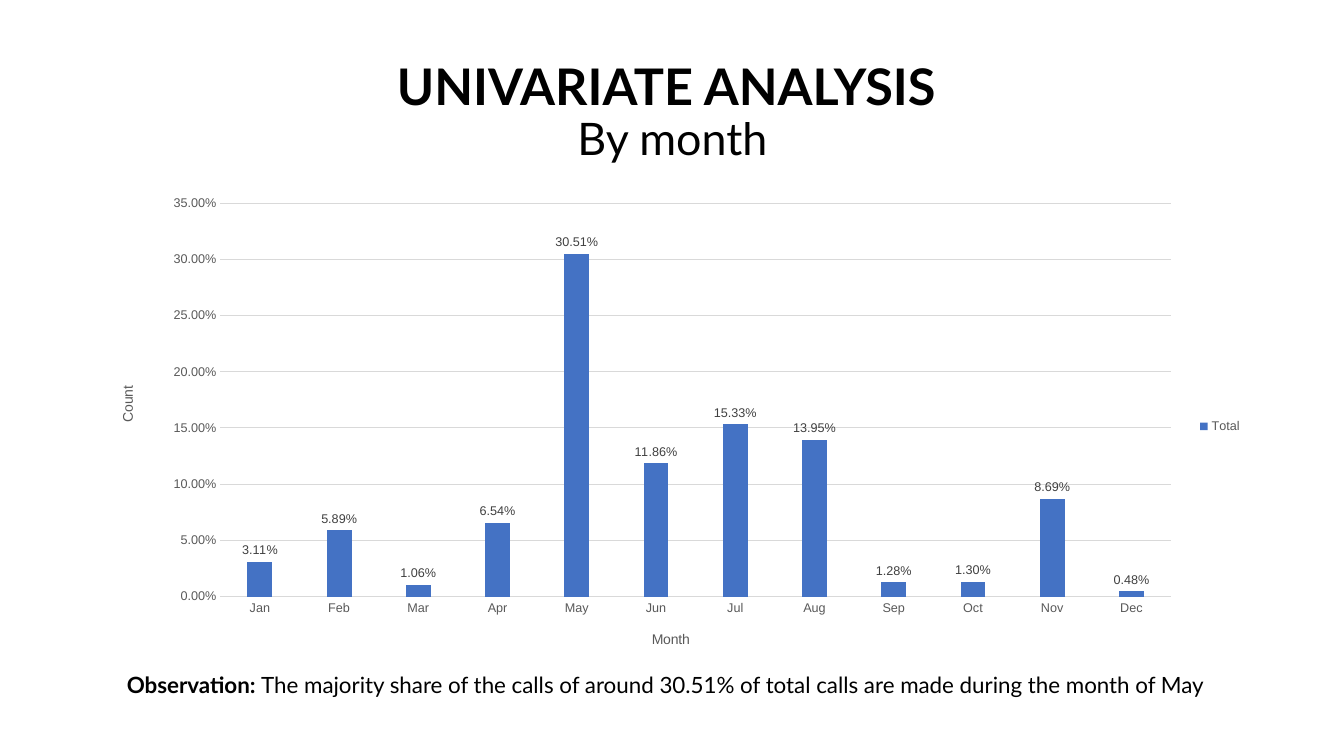
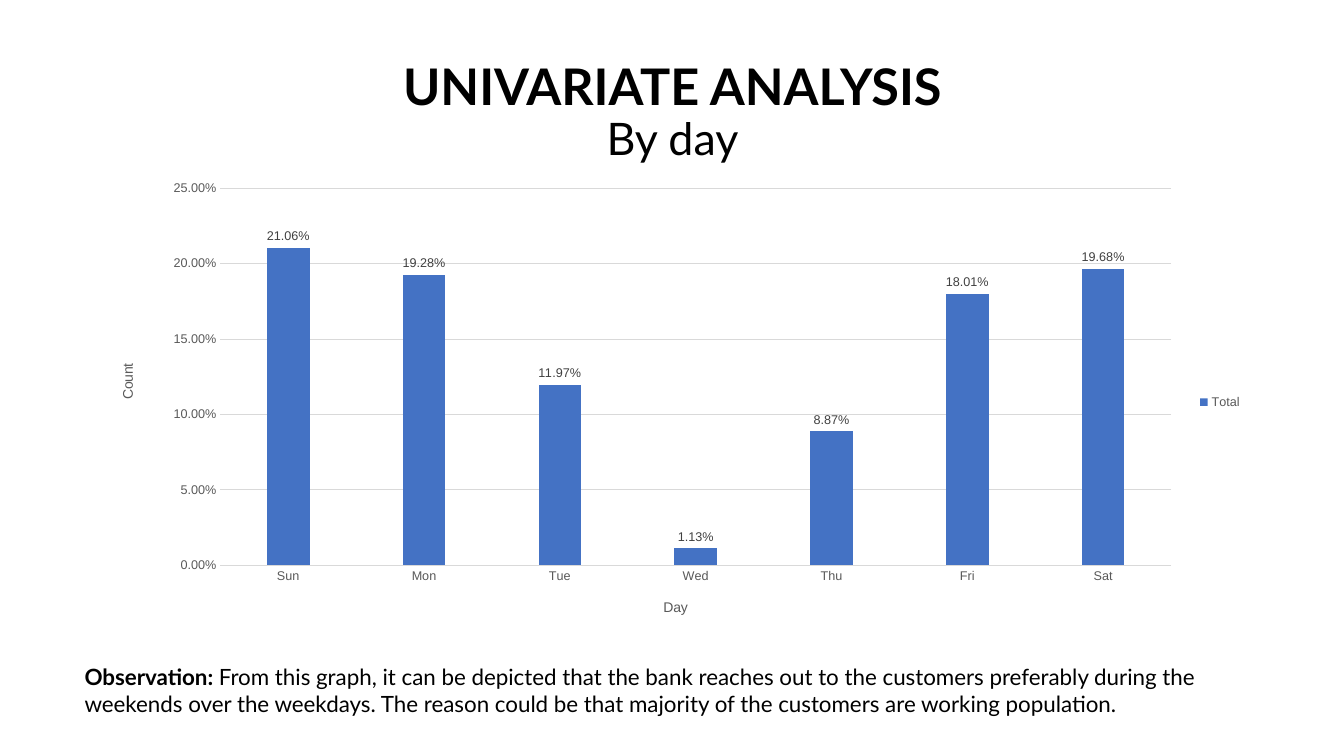
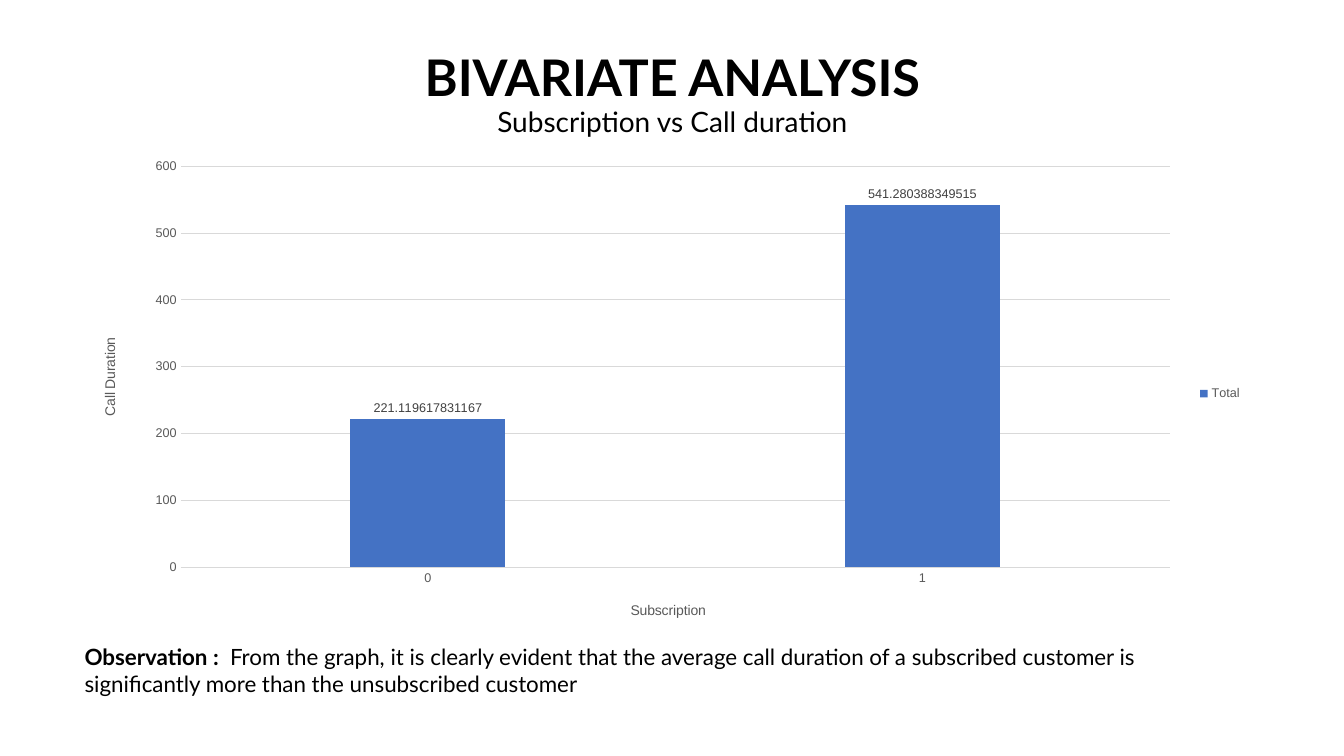
from dataclasses import dataclass

from lxml import etree
from pptx import Presentation
from pptx.chart.data import CategoryChartData
from pptx.dml.color import RGBColor
from pptx.enum.chart import (XL_CHART_TYPE, XL_LABEL_POSITION,
                             XL_LEGEND_POSITION, XL_TICK_MARK)
from pptx.enum.text import MSO_ANCHOR, PP_ALIGN
from pptx.oxml.ns import qn
from pptx.util import Inches, Pt

COLUMN = XL_CHART_TYPE.COLUMN_CLUSTERED
OUTSIDE = XL_LABEL_POSITION.OUTSIDE_END
RIGHT = XL_LEGEND_POSITION.RIGHT
NO_TICK = XL_TICK_MARK.NONE
MIDDLE = MSO_ANCHOR.MIDDLE
CENTER, LEFT = PP_ALIGN.CENTER, PP_ALIGN.LEFT


@dataclass(frozen=True)
class Theme:
    ink: str = "000000"
    gray: str = "595959"
    label: str = "404040"
    rule: str = "D9D9D9"
    bar: str = "4472C4"
    head: str = "Lato"
    body: str = "Arial"
    title: int = 36
    note: int = 16
    axis: int = 10
    tick: int = 9


THEME = Theme()
WIDE, HIGH = 13.33, 7.5
EDGE, SPAN = 0.92, 11.5      # title and chart column
NOTE_X, NOTE_W = 0.74, 11.68  # observation column

SLIDES = [
    dict(title="UNIVARIATE ANALYSIS ", sub="By month", sub_size=32,
         title_h=1.45, chart=(EDGE, 1.85, SPAN, 4.76),
         note=(1.16, 6.61, NOTE_W, 0.37), lead="Observation: ",
         text="The majority share of the calls of around 30.51% of total "
              "calls are made during the month of May",
         cats="Jan Feb Mar Apr May Jun Jul Aug Sep Oct Nov Dec".split(),
         vals=[0.0311, 0.0589, 0.0106, 0.0654, 0.3051, 0.1186,
               0.1533, 0.1395, 0.0128, 0.013, 0.0869, 0.0048],
         top=0.35, step=0.05, form="0.00%", plot=(0.11, 0.82),
         x_name="Month", x_at=0.48, y_name="Count", y_at=0.41),
    dict(title="UNIVARIATE ANALYSIS", sub="By day", sub_size=32,
         title_h=1.45, chart=(EDGE, 1.71, SPAN, 4.56),
         note=(NOTE_X, 6.53, NOTE_W, 0.64), lead="Observation: ",
         text="From this graph, it can be depicted that the bank reaches "
              "out to the customers preferably during the weekends over the "
              "weekdays. The reason could be that majority of the customers "
              "are working population.",
         cats="Sun Mon Tue Wed Thu Fri Sat".split(),
         vals=[0.2106, 0.1928, 0.1197, 0.0113, 0.0887, 0.1801, 0.1968],
         top=0.25, step=0.05, form="0.00%", plot=(0.11, 0.82),
         x_name="Day", x_at=0.49, y_name="Count", y_at=0.41),
    dict(title="BIVARIATE ANALYSIS", sub="Subscription vs Call duration",
         sub_size=20, title_h=1.1, chart=(NOTE_X, 1.48, NOTE_W, 4.85),
         note=(NOTE_X, 6.33, NOTE_W, 0.64), lead="Observation : ",
         text=" From the graph, it is clearly evident that the average call "
              "duration of a subscribed customer is significantly more than "
              "the unsubscribed customer",
         cats=["0", "1"], vals=[221.119617831167, 541.280388349515],
         top=600, step=100, form="General", plot=(0.09, 0.84),
         x_name="Subscription", x_at=0.47, y_name="Call Duration", y_at=0.38),
]


def style(font, face, size, color, bold=False):
    for key, val in dict(name=face, size=Pt(size), bold=bold).items():
        setattr(font, key, val)
    font.color.rgb = RGBColor.from_string(color)


def add_text(slide, box, runs, align=LEFT, anchor=None):
    """Place one paragraph of (text, size, bold) runs; None breaks the line."""
    frame = slide.shapes.add_textbox(*map(Inches, box)).text_frame
    frame.word_wrap = True
    if anchor is not None:
        frame.vertical_anchor = anchor
    para = frame.paragraphs[0]
    para.alignment = align
    for part in runs:
        if part is None:
            para.add_line_break()
            continue
        text, size, bold = part
        run = para.add_run()
        run.text = text
        style(run.font, THEME.head, size, THEME.ink, bold)
    return para


def set_layout(node, index, **share):
    """Fix a chart part at shares of the chart's size."""
    old = node.find(qn("c:layout"))
    if old is not None:
        node.remove(old)
    layout = etree.Element(qn("c:layout"))
    manual = etree.SubElement(layout, qn("c:manualLayout"))
    rules = dict(xMode="edge", yMode="edge", **share)
    if "w" in share:
        rules = dict(layoutTarget="inner", **rules)
    for key, val in rules.items():
        etree.SubElement(manual, qn("c:" + key)).set("val", str(val))
    node.insert(index, layout)


def name_axis(axis, text, x, y, turn=0):
    title = axis.axis_title
    frame = title.text_frame
    frame.text = text
    style(frame.paragraphs[0].runs[0].font, THEME.body, THEME.axis, THEME.gray)
    frame._txBody.bodyPr.set("rot", str(turn * 60000))
    set_layout(title._element, 1, x=x, y=y)


def add_bars(slide, spec):
    data = CategoryChartData(number_format=spec["form"])
    data.categories = spec["cats"]
    data.add_series("Total", spec["vals"])
    chart = slide.shapes.add_chart(
        COLUMN, *map(Inches, spec["chart"]), data).chart
    chart.has_title = False
    style(chart.font, THEME.body, THEME.axis, THEME.ink)

    # Legend
    chart.has_legend = True
    chart.legend.position = RIGHT
    chart.legend.include_in_layout = False
    style(chart.legend.font, THEME.body, THEME.tick, THEME.gray)

    # Axes
    cat, val = chart.category_axis, chart.value_axis
    for axis in (cat, val):
        axis.major_tick_mark = axis.minor_tick_mark = NO_TICK
        style(axis.tick_labels.font, THEME.body, THEME.tick, THEME.gray)
    for line in (cat.format.line, val.major_gridlines.format.line):
        line.color.rgb = RGBColor.from_string(THEME.rule)
        line.width = Pt(0.75)
    val.format.line.fill.background()
    scale = dict(minimum_scale=0, maximum_scale=spec["top"],
                 major_unit=spec["step"])
    for key, num in scale.items():
        setattr(val, key, num)
    name_axis(cat, spec["x_name"], spec["x_at"], 0.92)
    name_axis(val, spec["y_name"], 0.02, spec["y_at"], -90)

    # Bars and labels
    plot = chart.plots[0]
    plot.gap_width, plot.overlap, plot.vary_by_categories = 219, -27, False
    bars = plot.series[0]
    bars.format.fill.solid()
    bars.format.fill.fore_color.rgb = RGBColor.from_string(THEME.bar)
    tags = bars.data_labels
    tags.show_value, tags.position = True, OUTSIDE
    style(tags.font, THEME.body, THEME.tick, THEME.label)
    for part in (tags, val.tick_labels):
        part.number_format = spec["form"]
        part.number_format_is_linked = False
    left, wide = spec["plot"]
    area = chart._chartSpace.find(".//" + qn("c:plotArea"))
    set_layout(area, 0, x=left, y=0.035, w=wide, h=0.82)


def add_page(deck, spec):
    slide = deck.slides.add_slide(deck.slide_layouts[6])
    head = add_text(slide, (EDGE, 0.4, SPAN, spec["title_h"]),
                    [(spec["title"], THEME.title, True), None,
                     (spec["sub"], spec["sub_size"], False)], CENTER, MIDDLE)
    head.line_spacing = 0.9
    add_text(slide, spec["note"], [(spec["lead"], THEME.note, True),
                                   (spec["text"], THEME.note, False)])
    add_bars(slide, spec)


def main():
    deck = Presentation()
    deck.slide_width, deck.slide_height = Inches(WIDE), Inches(HIGH)
    for spec in SLIDES:
        add_page(deck, spec)
    deck.save("out.pptx")


if __name__ == "__main__":
    main()
